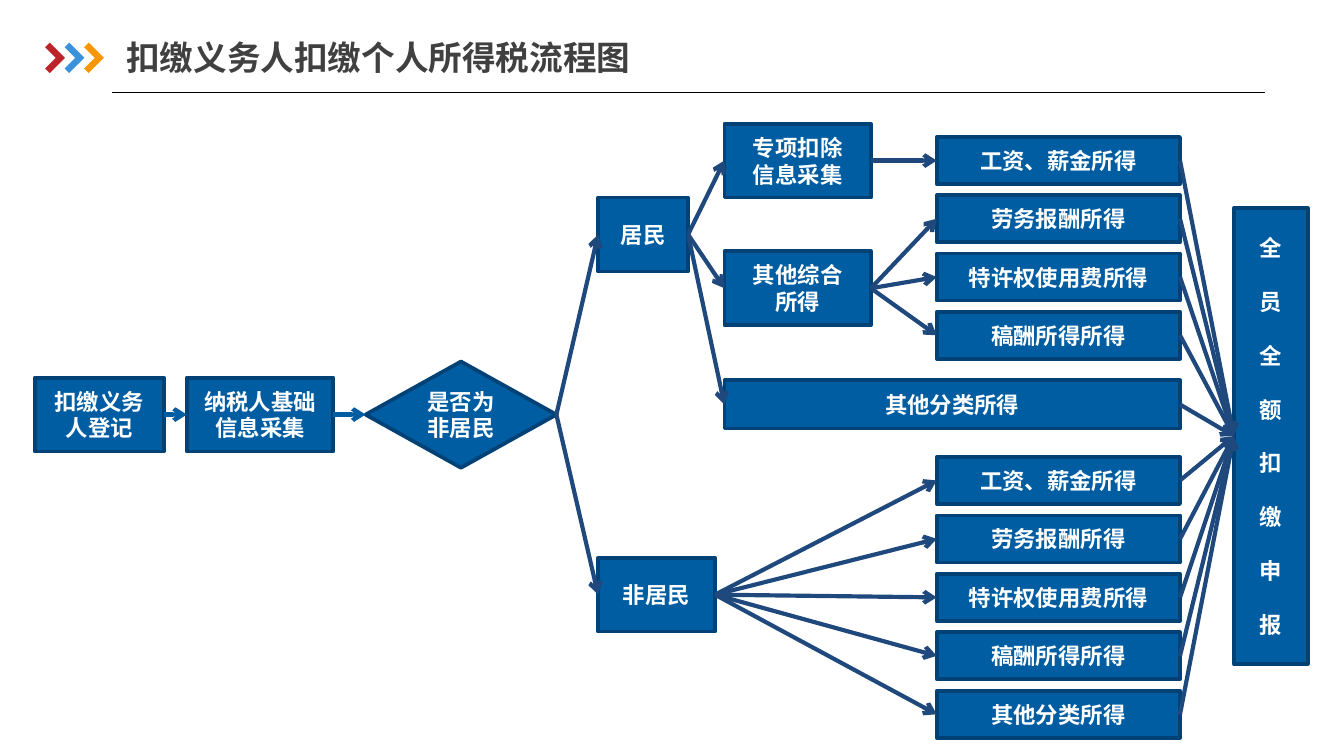
from dataclasses import dataclass

from lxml import etree
from pptx import Presentation
from pptx import util as u
from pptx.dml.color import RGBColor
from pptx.enum import shapes, text
from pptx.oxml.ns import qn

CELL = u.Inches(0.01)
SLIDE_WIDTH = u.Inches(10)
SLIDE_HEIGHT = SLIDE_WIDTH * 9 // 16


@dataclass(frozen=True)
class Theme:
    font: str = "Noto Sans CJK SC"
    title_size: float = 18
    body_size: float = 12
    line_pitch: float = 14.4
    border: float = 2
    arrow: float = 2.25
    rule: float = 0.75
    title: str = "404040"
    black: str = "000000"
    white: str = "FFFFFF"
    box: str = "005DA2"
    box_line: str = "004276"
    branch: str = "1F497D"
    chevrons: tuple = ("BC242A", "3992DB", "F79600")


THEME = Theme()


@dataclass(frozen=True)
class Box:
    """A rectangle measured in grid cells."""
    left: float
    top: float
    width: float
    height: float

    def inside(self, left, top, width, height):
        return Box(self.left + left, self.top + top, width, height)

    def emu(self):
        return [round(n * CELL) for n in (self.left, self.top, self.width, self.height)]


def color(value):
    return RGBColor.from_string(value)


def style_paragraph(paragraph, size, value):
    for run in paragraph.runs:
        run.font.size = u.Pt(size)
        run.font.bold = True
        run.font.name = THEME.font
        run.font.color.rgb = color(value)
        east_asian = etree.SubElement(run._r.get_or_add_rPr(), qn("a:ea"))
        east_asian.set("typeface", THEME.font)


def add_node(slide, box, label, kind=shapes.MSO_SHAPE.RECTANGLE, gap=0):
    """Add a bordered box; gap is the space in points between its paragraphs."""
    node = slide.shapes.add_shape(kind, *box.emu())
    node.shadow.inherit = False
    node.fill.solid()
    node.fill.fore_color.rgb = color(THEME.box)
    node.line.color.rgb = color(THEME.box_line)
    node.line.width = u.Pt(THEME.border)
    frame = node.text_frame
    frame.text = label
    frame.word_wrap = True
    frame.vertical_anchor = text.MSO_ANCHOR.MIDDLE
    for index, paragraph in enumerate(frame.paragraphs):
        paragraph.alignment = text.PP_ALIGN.CENTER
        paragraph.line_spacing = u.Pt(THEME.line_pitch)
        paragraph.space_before = u.Pt(gap if index else 0)
        style_paragraph(paragraph, THEME.body_size, THEME.white)
    return node


def add_line(slide, start, end, value, width):
    line = slide.shapes.add_connector(shapes.MSO_CONNECTOR.STRAIGHT, *start, *end)
    line.line.color.rgb = color(value)
    line.line.width = u.Pt(width)
    etree.SubElement(line._element.spPr, qn("a:effectLst"))
    return line


def connect(slide, source, targets, value=THEME.branch):
    """Draw arrows from the right side of source to the left side of each target."""
    for target in targets:
        arrow = add_line(slide, (0, 0), (0, 0), value, THEME.arrow)
        arrow.begin_connect(source, 3)
        arrow.end_connect(target, 1)
        etree.SubElement(arrow.line._get_or_add_ln(), qn("a:tailEnd")).set("type", "arrow")


def add_chevron(slide, box, value):
    """Add an L outline turned so that its corner points right."""
    arm = 0.3
    corners = [(0, 0), (arm, 0), (arm, 1 - arm), (1, 1 - arm), (1, 1), (0, 1)]
    left, top, width, height = box.emu()
    points = [(left + x * width, top + y * height) for x, y in corners]
    builder = slide.shapes.build_freeform(*points[0])
    builder.add_line_segments(points[1:], close=True)
    chevron = builder.convert_to_shape()
    chevron.rotation = 225
    chevron.shadow.inherit = False
    chevron.fill.solid()
    chevron.fill.fore_color.rgb = color(value)
    chevron.line.fill.background()


def add_header(slide, box):
    title = slide.shapes.add_textbox(*box.inside(65, 0, 418, 41).emu())
    frame = title.text_frame
    frame.text = "扣缴义务人扣缴个人所得税流程图"
    frame.word_wrap = True
    frame.vertical_anchor = text.MSO_ANCHOR.MIDDLE
    frame.margin_left = frame.margin_right = 0
    style_paragraph(frame.paragraphs[0], THEME.title_size, THEME.title)
    left, bottom, length, _ = box.inside(54, box.height, 858, 0).emu()
    add_line(slide, (left, bottom), (left + length, bottom), THEME.black, THEME.rule)
    for index, value in enumerate(THEME.chevrons):
        add_chevron(slide, box.inside(index * 14.5, 13, 16, 16), value)


def add_registration(slide, box):
    """Add the opening steps and return the decision."""
    step_top = (box.height - 55) / 2
    register = add_node(slide, box.inside(0, step_top, 96, 55), "扣缴义务人登记")
    collect = add_node(slide, box.inside(113, step_top, 109, 55), "纳税人基础信息采集")
    decision = add_node(slide, box.inside(246, 0, 142, box.height), "是否为非居民",
                        shapes.MSO_SHAPE.FLOWCHART_DECISION)
    connect(slide, register, [collect], THEME.box)
    connect(slide, collect, [decision], THEME.box)
    return decision


def add_income_stack(slide, box, labels):
    """Spread one row for each label evenly over the box."""
    row_height = 35
    pitch = (box.height - row_height) / (len(labels) - 1)
    return [add_node(slide, box.inside(0, index * pitch, box.width, row_height), label)
            for index, label in enumerate(labels)]


def add_resident(slide, box, incomes):
    """Add the resident branch and return its entry and its final boxes."""
    resident = add_node(slide, box.inside(0, 55, 67, 55), "居民")
    deduction = add_node(slide, box.inside(94, 0, 109, 55), "专项扣除\n信息采集")
    combined = add_node(slide, box.inside(94, 95, 109, 55), "其他综合\n所得")
    other = add_node(slide, box.inside(94, 191, 339, 36), "其他分类所得")
    stack = add_income_stack(slide, box.inside(252, 10, 181, 165), incomes)
    connect(slide, resident, [deduction, combined, other])
    connect(slide, deduction, stack[:1])
    connect(slide, combined, stack[1:])
    return resident, stack + [other]


def add_nonresident(slide, box, incomes):
    """Add the non-resident branch and return its entry and its final boxes."""
    nonresident = add_node(slide, box.inside(0, 75, 87, 55), "非居民")
    stack = add_income_stack(slide, box.inside(252, 0, 181, box.height), incomes)
    connect(slide, nonresident, stack)
    return nonresident, stack


def main():
    presentation = Presentation()
    presentation.slide_width = SLIDE_WIDTH
    presentation.slide_height = SLIDE_HEIGHT
    slide = presentation.slides.add_slide(presentation.slide_layouts[6])
    incomes = ["工资、薪金所得", "劳务报酬所得", "特许权使用费所得", "稿酬所得所得"]

    add_header(slide, Box(29, 22, 912, 47))
    decision = add_registration(slide, Box(26, 269, 388, 79))
    resident, resident_ends = add_resident(slide, Box(445, 92, 433, 227), incomes)
    nonresident, nonresident_ends = add_nonresident(
        slide, Box(445, 340, 433, 209), incomes + ["其他分类所得"])
    filing = add_node(slide, Box(918, 155, 55, 339), "\n".join("全员全额扣缴申报"),
                      gap=THEME.line_pitch)
    connect(slide, decision, [resident, nonresident])
    for income in resident_ends + nonresident_ends:
        connect(slide, income, [filing])
    presentation.save("out.pptx")


if __name__ == "__main__":
    main()
